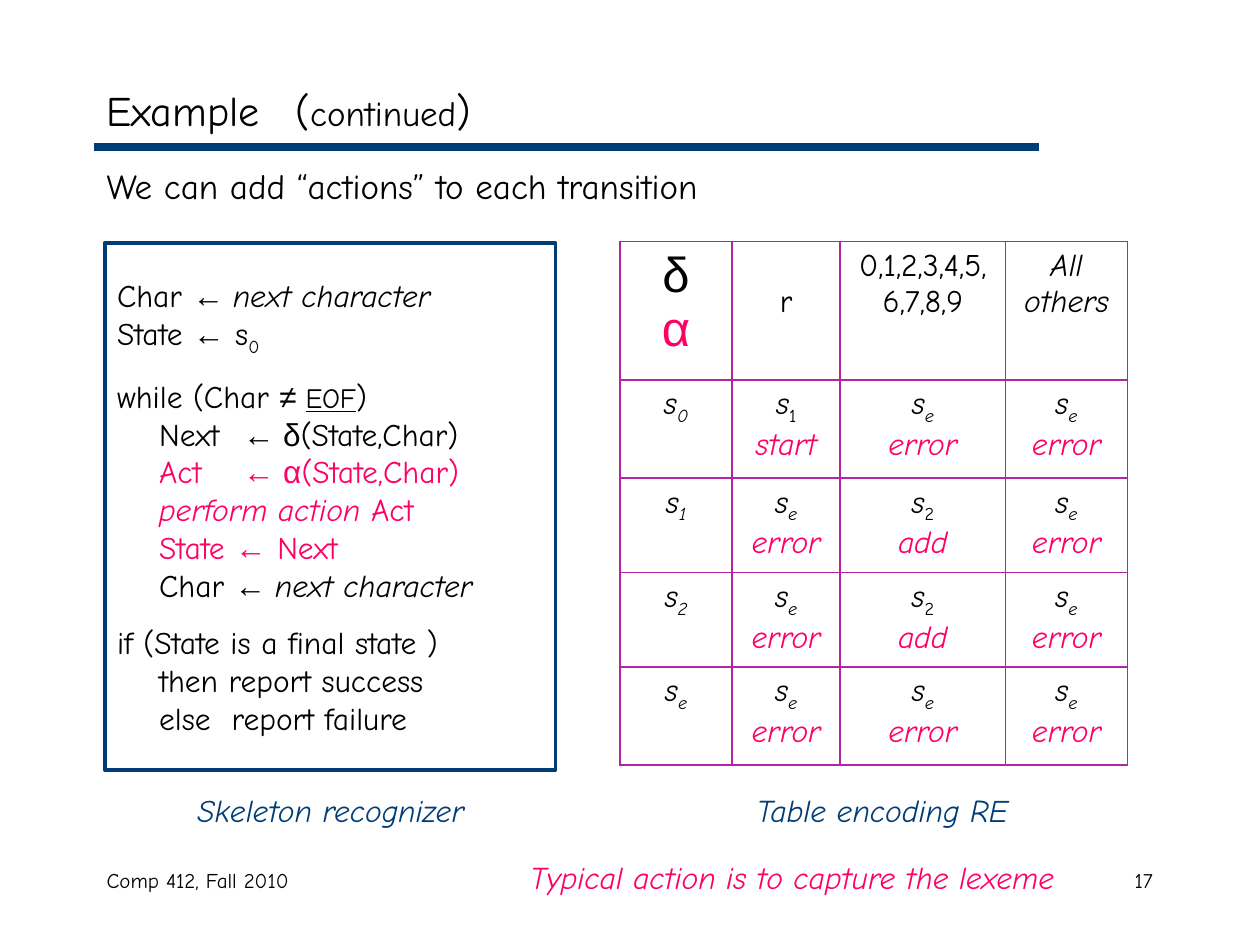
from lxml import etree
from pptx import Presentation
from pptx.dml.color import RGBColor
from pptx.enum.shapes import MSO_CONNECTOR, MSO_SHAPE
from pptx.enum.text import MSO_ANCHOR, MSO_AUTO_SIZE, PP_ALIGN
from pptx.oxml.ns import qn
from pptx.util import Cm, Pt

LEFT, CENTER, RIGHT = PP_ALIGN.LEFT, PP_ALIGN.CENTER, PP_ALIGN.RIGHT
TOP, MIDDLE = MSO_ANCHOR.TOP, MSO_ANCHOR.MIDDLE
NO_AUTOFIT = MSO_AUTO_SIZE.NONE
RECTANGLE = MSO_SHAPE.RECTANGLE
STRAIGHT = MSO_CONNECTOR.STRAIGHT

BLACK, NAVY, PINK, PURPLE = "000000", "003C75", "FF0065", "B025A6"
SYMBOL = {"font": "Arial"}
ITALIC = {"italic": True}
SUBSCRIPT = {"subscript": True}
ACTION = {"color": PINK}
ACTION_SYMBOL = {**SYMBOL, **ACTION}
GAP = 11.2


def rgb(color):
    return RGBColor.from_string(color)


class SlideStyle:
    font = "Comic Neue"
    margin_x, margin_y = Cm(0.25), Cm(0.13)

    def __init__(self, slide):
        self.slide = slide

    def add_span(self, para, text, size=18, color=BLACK, font=None,
                 italic=False, underline=False, subscript=False):
        span = para.add_run()
        span.text = text
        span.font.size = Pt(size)
        span.font.name = font or self.font
        span.font.color.rgb = rgb(color)
        span.font.italic = italic
        span.font.underline = underline
        if subscript:
            span.font._element.set("baseline", "-25000")

    def add_lines(self, frame, lines, align=LEFT, gaps=(), tab=None):
        """Fill a frame; gaps are line numbers with space before, tab is (cm, side)."""
        for number, spans in enumerate(lines):
            para = frame.add_paragraph() if number else frame.paragraphs[0]
            if tab:
                stops = etree.SubElement(para._p.get_or_add_pPr(), qn("a:tabLst"))
                etree.SubElement(stops, qn("a:tab"), pos=str(Cm(tab[0])), algn=tab[1])
            para.alignment = align
            para.space_before = Pt(GAP if number in gaps else 0)
            for text, look in spans:
                self.add_span(para, text, **look)

    def set_frame(self, frame, anchor=TOP, wrap=True):
        frame.margin_left = frame.margin_right = self.margin_x
        frame.margin_top = frame.margin_bottom = self.margin_y
        frame.vertical_anchor = anchor
        frame.word_wrap = wrap
        frame.auto_size = NO_AUTOFIT

    def placeholder(self, box, place, spans, anchor=TOP, tab=None):
        box.left, box.top, box.width, box.height = map(Cm, place)
        self.set_frame(box.text_frame, anchor)
        properties = box.text_frame.paragraphs[0]._p.get_or_add_pPr()
        properties.set("marL", "0")
        properties.set("indent", "0")
        etree.SubElement(properties, qn("a:buNone"))
        self.add_lines(box.text_frame, [spans], tab=tab)

    def label(self, place, text, align=LEFT, **look):
        box = self.slide.shapes.add_textbox(*map(Cm, place))
        self.set_frame(box.text_frame)
        self.add_lines(box.text_frame, [[(text, look)]], align)

    def rule(self, left, right, y):
        line = self.slide.shapes.add_connector(STRAIGHT, Cm(left), Cm(y), Cm(right), Cm(y))
        line.line.color.rgb = rgb(NAVY)
        line.line.width = Pt(4.5)
        etree.SubElement(line._element.spPr, qn("a:effectLst"))

    def code_box(self, place, lines, gaps):
        box = self.slide.shapes.add_shape(RECTANGLE, *map(Cm, place))
        box.shadow.inherit = False
        box.fill.background()
        box.line.color.rgb = rgb(NAVY)
        box.line.width = Pt(2.25)
        self.set_frame(box.text_frame, MIDDLE, wrap=False)
        self.add_lines(box.text_frame, lines, gaps=gaps, tab=(2.54, "l"))

    def cell_borders(self, cell):
        properties = cell._tc.get_or_add_tcPr()
        for number, side in enumerate(("lnL", "lnR", "lnT", "lnB")):
            line = etree.Element(qn(f"a:{side}"), w=str(Pt(1.08)))
            fill = etree.SubElement(line, qn("a:solidFill"))
            etree.SubElement(fill, qn("a:srgbClr"), val=PURPLE)
            properties.insert(number, line)

    def table(self, left, top, widths, heights, rows):
        frame = self.slide.shapes.add_table(
            len(heights), len(widths), Cm(left), Cm(top), Cm(sum(widths)), Cm(sum(heights)))
        table = frame.table
        table.first_row = table.horz_banding = False
        for column, width in zip(table.columns, widths):
            column.width = Cm(width)
        for row, height, contents in zip(table.rows, heights, rows):
            row.height = Cm(height)
            for cell, lines in zip(row.cells, contents):
                cell.margin_left = cell.margin_right = self.margin_x
                cell.margin_top = cell.margin_bottom = self.margin_y
                cell.fill.background()
                self.cell_borders(cell)
                self.add_lines(cell.text_frame, lines, CENTER)
        return table


def state(name, upright=False):
    return [("s", ITALIC), (name, {**SUBSCRIPT, "italic": not upright})]


def transition(target, action):
    return [state(target, target.isdigit()), [(action, {**ACTION, **ITALIC})]]


def main():
    deck = Presentation()
    deck.slide_width, deck.slide_height = Cm(25.4), Cm(19.05)
    page = deck.slides.add_slide(deck.slide_layouts[1])
    style = SlideStyle(page)
    title, body = page.placeholders

    style.rule(1.9, 20.95, 2.97)
    style.label((1.9, 17.35, 10.36, 1.27), "Comp 412, Fall 2010", size=12)
    style.label((18.21, 17.35, 5.28, 1.27), "17", RIGHT, size=12)
    style.placeholder(
        title, (1.9, 1.47, 21.6, 1.47),
        [("Example\t(", {"size": 24}), ("continued", {"size": 20}), (")", {"size": 24})],
        MIDDLE, tab=(19.03, "r"))
    style.placeholder(
        body, (1.9, 3.18, 21.6, 13.77),
        [("We can add “actions” to each transition", {"size": 20})])

    header = [
        [[("δ", {**SYMBOL, "size": 28})], [("α", {**ACTION_SYMBOL, "size": 28})]],
        [[("r", {})]],
        [[("0,1,2,3,4,5,6,7,8,9", {})]],
        [[("All others", ITALIC)]],
    ]
    error = ("e", "error")
    transitions = {
        "0": [("1", "start"), error, error],
        "1": [error, ("2", "add"), error],
        "2": [error, ("2", "add"), error],
        "e": [error, error, error],
    }
    rows = [header] + [
        [[state(name)]] + [transition(*entry) for entry in entries]
        for name, entries in transitions.items()]
    table = style.table(12.5, 4.87, (2.26, 2.18, 3.33, 2.46),
                        (2.79, 1.98, 1.9, 1.9, 1.98), rows)
    table.cell(0, 1).margin_top = Cm(0.86)

    next_character = [("← ", SYMBOL), ("next character", ITALIC)]
    code = [
        [("Char ", {}), *next_character],
        [("State ", {}), ("←", SYMBOL), (" s", {}), ("0", SUBSCRIPT)],
        [("while (Char ", {}), ("≠ ", SYMBOL), ("EOF", {"size": 16, "underline": True}), (")", {})],
        [("    Next \t", {}), ("← δ", SYMBOL), ("(State,Char)", {})],
        [("    Act \t", ACTION), ("← α", ACTION_SYMBOL), ("(State,Char)", ACTION)],
        [("    perform action ", {**ACTION, **ITALIC}), ("Act", ACTION)],
        [("    State ", ACTION), ("←", ACTION_SYMBOL), (" Next", ACTION)],
        [("    Char ", {}), *next_character],
        [("if (State is a final state )", {})],
        [("    then report success", {})],
        [("    else  report failure", {})],
    ]
    style.code_box((2.11, 4.9, 9.09, 10.62), code, gaps=(2, 8))

    for left, caption in ((3.28, "Skeleton recognizer"), (14.4, "Table encoding RE")):
        style.label((left, 15.82, 6.78, 1.02), caption, CENTER, color=NAVY, italic=True)
    style.label((10.44, 17.17, 12.57, 1.02), "Typical action is to capture the lexeme",
                color=PINK, italic=True)

    deck.save("out.pptx")


if __name__ == "__main__":
    main()
